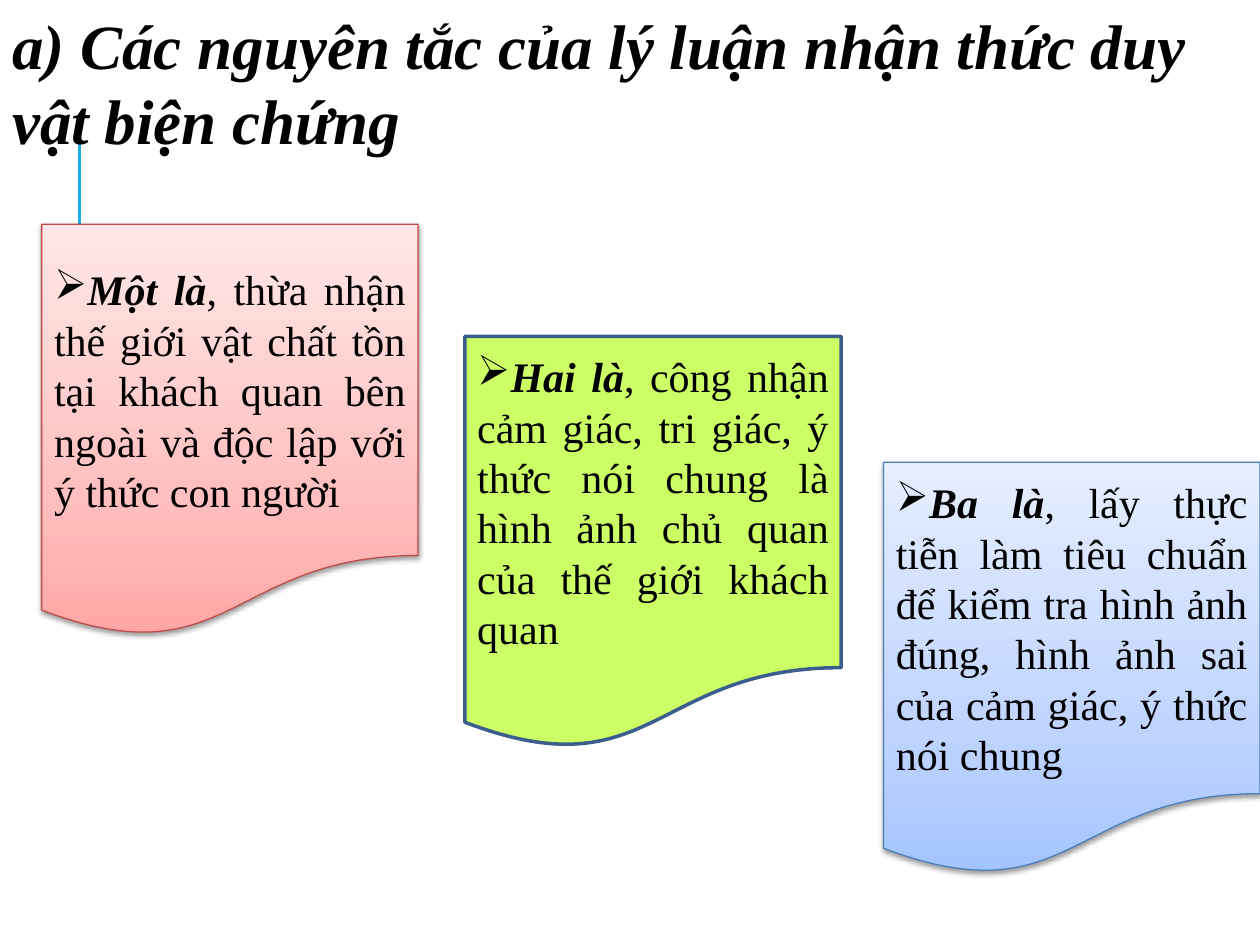
import copy
import dataclasses
import typing

import lxml.etree
import pptx
import pptx.dml.color
import pptx.enum.dml
import pptx.enum.shapes
import pptx.enum.text
import pptx.oxml
import pptx.oxml.ns
import pptx.util

Cm = pptx.util.Cm
Pt = pptx.util.Pt
qn = pptx.oxml.ns.qn


@dataclasses.dataclass(frozen=True)
class Theme:
    font: str = "Times New Roman"
    text: str = "000000"
    accent: str = "1CADE4"
    title_size: float = 36
    body_size: float = 24
    accent_width: float = 1.5


@dataclasses.dataclass(frozen=True)
class Card:
    left: float
    top: float
    lead: str
    body: str
    fills: tuple[str, ...]
    line: str
    line_width: float
    shadow: bool


THEME = Theme()
CARD_WIDTH, CARD_HEIGHT = 7.59, 8.33
GRADIENT_POSITIONS = (0, 0.35, 1)
TITLE = "a) Các nguyên tắc của lý luận nhận thức duy vật biện chứng"
CARDS = (
    Card(0.84, 4.52, "Một là",
         ", thừa nhận thế giới vật chất tồn tại khách quan bên ngoài và độc lập với ý thức con người",
         ("FFA6A5", "FFC0BF", "FFE7E7"), "BF4C48", 0.75, True),
    Card(9.37, 6.78, "Hai là",
         ", công nhận cảm giác, tri giác, ý thức nói chung là hình ảnh chủ quan của thế giới khách quan",
         ("CCFF66",), "3A5F8C", 2, False),
    Card(17.81, 9.32, "Ba là",
         ", lấy thực tiễn làm tiêu chuẩn để kiểm tra hình ảnh đúng, hình ảnh sai của cảm giác, ý thức nói chung",
         ("A4C4FF", "BFD4FF", "E6EEFF"), "4B7EBC", 0.75, True),
)


def rgb(value: str) -> pptx.dml.color.RGBColor:
    return pptx.dml.color.RGBColor.from_string(value)


def add_run(paragraph: typing.Any, text: str, size: float, emphasis: bool) -> None:
    run = paragraph.add_run()
    run.text = text
    values = {"name": THEME.font, "size": Pt(size), "bold": emphasis, "italic": emphasis}
    for name, value in values.items():
        setattr(run.font, name, value)
    run.font.color.rgb = rgb(THEME.text)


def set_line(line: typing.Any, color: str, width: float) -> None:
    line.color.rgb = rgb(color)
    line.width = Pt(width)


def set_fill(fill: typing.Any, colors: tuple[str, ...]) -> None:
    """Fill with one solid colour, or with a gradient that runs upwards."""
    if len(colors) == 1:
        fill.solid()
        fill.fore_color.rgb = rgb(colors[0])
        return
    fill.gradient()
    fill.gradient_angle = 90
    stop_list = fill._fill._gradFill.find(qn("a:gsLst"))
    stop_list.append(copy.deepcopy(stop_list[0]))
    for stop, color, position in zip(fill.gradient_stops, colors, GRADIENT_POSITIONS):
        stop.color.rgb = rgb(color)
        stop.position = position


def add_shadow(shape: typing.Any) -> None:
    effects = shape._element.spPr.find(qn("a:effectLst"))
    shadow = lxml.etree.SubElement(
        effects, qn("a:outerShdw"), blurRad=str(Pt(3.1)), dist=str(Pt(1.6)),
        dir="5400000", rotWithShape="0")
    color = lxml.etree.SubElement(shadow, qn("a:srgbClr"), val="000000")
    lxml.etree.SubElement(color, qn("a:alpha"), val="38000")


def add_bullet(paragraph: typing.Any, character: str) -> None:
    properties = paragraph._p.get_or_add_pPr()
    properties.set("marL", "0")
    properties.set("indent", "0")
    lxml.etree.SubElement(properties, qn("a:buChar"), char=character)


def add_accent_line(slide: typing.Any) -> None:
    line = slide.shapes.add_connector(
        pptx.enum.shapes.MSO_CONNECTOR.STRAIGHT, Cm(1.6), Cm(4.83), Cm(1.6), Cm(2.29))
    set_line(line.line, THEME.accent, THEME.accent_width)
    lxml.etree.SubElement(line._element.spPr, qn("a:effectLst"))


def add_title(slide: typing.Any) -> None:
    box = slide.shapes.add_textbox(0, 0, Cm(25.48), Cm(4.88))
    box.text_frame.word_wrap = True
    box.text_frame.auto_size = pptx.enum.text.MSO_AUTO_SIZE.SHAPE_TO_FIT_TEXT
    add_run(box.text_frame.paragraphs[0], TITLE, THEME.title_size, True)


def add_card(slide: typing.Any, card: Card) -> None:
    shape = slide.shapes.add_shape(
        pptx.enum.shapes.MSO_SHAPE.FLOWCHART_DOCUMENT,
        Cm(card.left), Cm(card.top), Cm(CARD_WIDTH), Cm(CARD_HEIGHT))
    shape.shadow.inherit = False
    set_fill(shape.fill, card.fills)
    set_line(shape.line, card.line, card.line_width)
    if card.shadow:
        add_shadow(shape)
    frame = shape.text_frame
    frame.word_wrap = True
    frame.vertical_anchor = pptx.enum.text.MSO_ANCHOR.MIDDLE
    paragraph = frame.paragraphs[0]
    paragraph.alignment = pptx.enum.text.PP_ALIGN.JUSTIFY
    add_bullet(paragraph, "➢")
    add_run(paragraph, card.lead, THEME.body_size, True)
    add_run(paragraph, card.body, THEME.body_size, False)


def main() -> None:
    presentation = pptx.Presentation()
    presentation.slide_width = Cm(25.4)
    presentation.slide_height = Cm(19.05)
    slide = presentation.slides.add_slide(presentation.slide_layouts[6])
    add_accent_line(slide)
    add_title(slide)
    for card in CARDS:
        add_card(slide, card)
    presentation.save("out.pptx")


if __name__ == "__main__":
    main()
